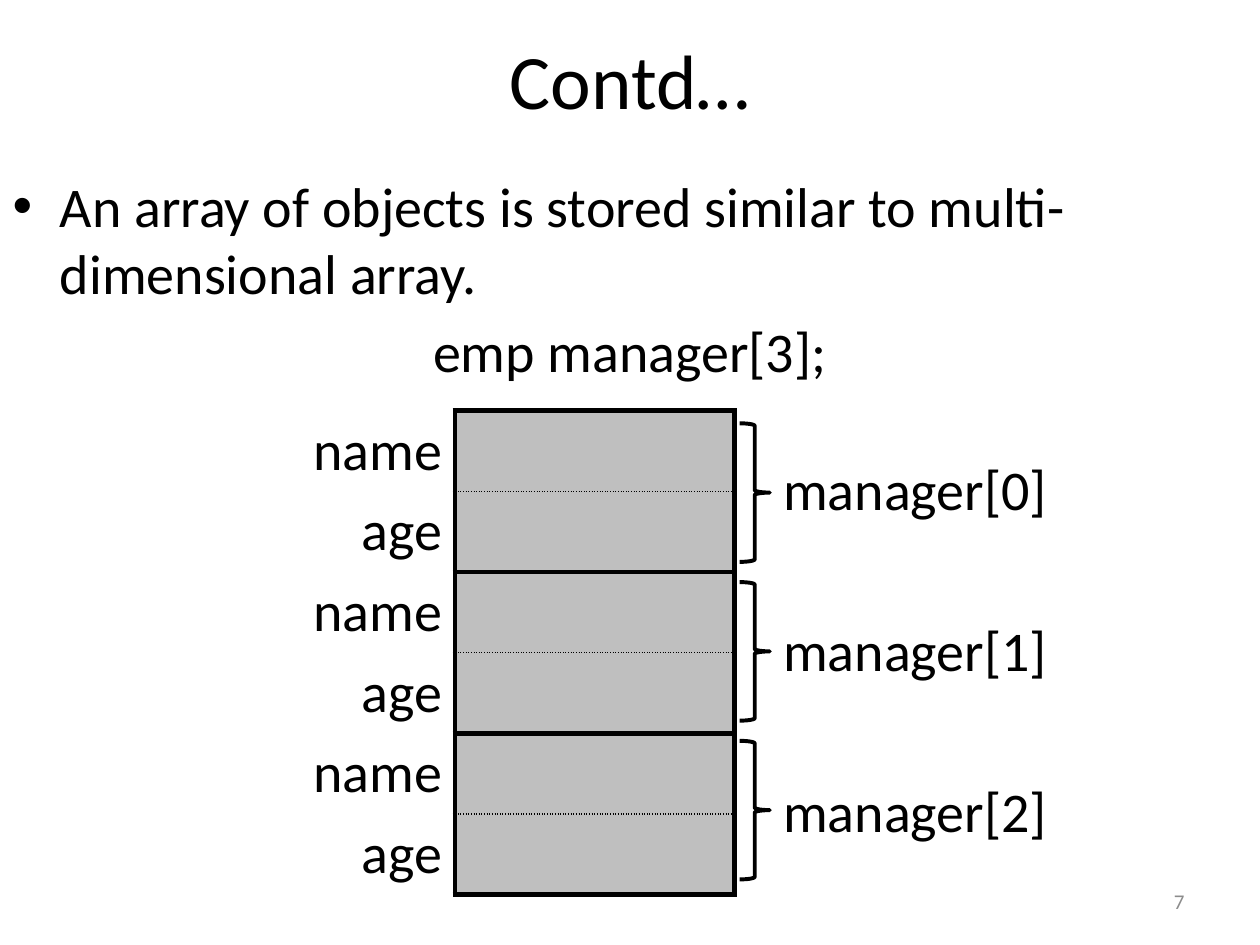
from lxml.etree import SubElement
from pptx import Presentation
from pptx.dml.color import RGBColor
from pptx.enum.shapes import MSO_SHAPE
from pptx.enum.text import MSO_ANCHOR, MSO_AUTO_SIZE, PP_ALIGN
from pptx.oxml import parse_xml
from pptx.oxml.ns import nsdecls, qn
from pptx.util import Inches, Pt

COLORS = {"text": "000000", "cell": "BFBFBF", "number": "8C8C8C"}
FIELDS = ["name", "age"]
OBJECTS = 3
COLS = [1.26, 2.22, 2.87]
ROW = 0.64
LEFT, TOP = 2.35, 3.26
SOLID, DOTTED = (3, "solid"), (1, "sysDot")
NO_STYLE = "{2D5ABB26-0587-4C30-8999-92F81FD0307C}"


def write(p, text, size, align=None, color="text"):
    p.alignment = align
    r = p.add_run()
    r.text = text
    r.font.size = Pt(size)
    r.font.name = "Calibri"
    r.font.color.rgb = RGBColor.from_string(COLORS[color])


def set_borders(cell, **edges):
    """Draw the given edges (L, R, T, B, in that order) as (points, dash)."""
    tcPr = cell._tc.get_or_add_tcPr()
    for i, (edge, (width, dash)) in enumerate(edges.items()):
        tcPr.insert(i, parse_xml(
            f'<a:ln{edge} {nsdecls("a")} w="{Pt(width)}"><a:solidFill>'
            f'<a:srgbClr val="{COLORS["text"]}"/></a:solidFill>'
            f'<a:prstDash val="{dash}"/></a:ln{edge}>'))


prs = Presentation()
prs.slide_width, prs.slide_height = Inches(10), Inches(7.5)
s = prs.slides.add_slide(prs.slide_layouts[1])

# Title and body
title, body = s.placeholders
title.left, title.top = 0, 0
title.width, title.height = prs.slide_width, Inches(1.25)
title.text_frame.vertical_anchor = MSO_ANCHOR.MIDDLE
write(title.text_frame.paragraphs[0], "Contd…", 44, PP_ALIGN.CENTER)

body.left, body.top = 0, Inches(1.31)
body.width, body.height = prs.slide_width, Inches(5.59)
tf = body.text_frame
tf.auto_size = MSO_AUTO_SIZE.NONE
write(tf.paragraphs[0],
      "An array of objects is stored similar to multi-dimensional array.", 32)
p = tf.add_paragraph()
write(p, "emp manager[3];", 32, PP_ALIGN.CENTER)
SubElement(p._p.get_or_add_pPr(), qn("a:buNone"))

# Slide number
sp = s.shapes.add_textbox(Inches(7.17), Inches(6.95), Inches(2.33), Inches(0.4))
tf = sp.text_frame
tf.word_wrap = True
tf.vertical_anchor = MSO_ANCHOR.MIDDLE
write(tf.paragraphs[0], "7", 12, PP_ALIGN.RIGHT, "number")

# Memory layout: one row per field, one merged label per object
rows = OBJECTS * len(FIELDS)
frame = s.shapes.add_table(rows, len(COLS), Inches(LEFT), Inches(TOP),
                           Inches(sum(COLS)), Inches(ROW * rows))
table = frame.table
table.first_row = table.horz_banding = False
table._tbl.tblPr.find(qn("a:tableStyleId")).text = NO_STYLE
for col, width in zip(table.columns, COLS):
    col.width = Inches(width)

for i in range(rows):
    obj, field = divmod(i, len(FIELDS))
    name, memory, label = (table.cell(i, c) for c in range(len(COLS)))
    for cell in (name, label):
        cell.fill.background()
    memory.fill.solid()
    memory.fill.fore_color.rgb = RGBColor.from_string(COLORS["cell"])

    write(name.text_frame.paragraphs[0], FIELDS[field], 32, PP_ALIGN.RIGHT)
    set_borders(name, R=SOLID)
    set_borders(memory, L=SOLID, R=SOLID,
                T=DOTTED if field else SOLID,
                B=SOLID if field else DOTTED)
    set_borders(label, L=SOLID)
    if field == 0:
        label.merge(table.cell(i + len(FIELDS) - 1, 2))
        label.vertical_anchor = MSO_ANCHOR.MIDDLE
        write(label.text_frame.paragraphs[0], f"manager[{obj}]", 32,
              PP_ALIGN.CENTER)

# Braces joining the fields of each object
for obj in range(OBJECTS):
    sp = s.shapes.add_shape(MSO_SHAPE.RIGHT_BRACE, Inches(5.87),
                            Inches(3.36 + 1.26 * obj), Inches(0.24), Inches(1.1))
    sp.shadow.inherit = False
    sp.fill.background()
    sp.line.color.rgb = RGBColor.from_string(COLORS["text"])
    sp.line.width = Pt(2.25)

prs.save("out.pptx")
